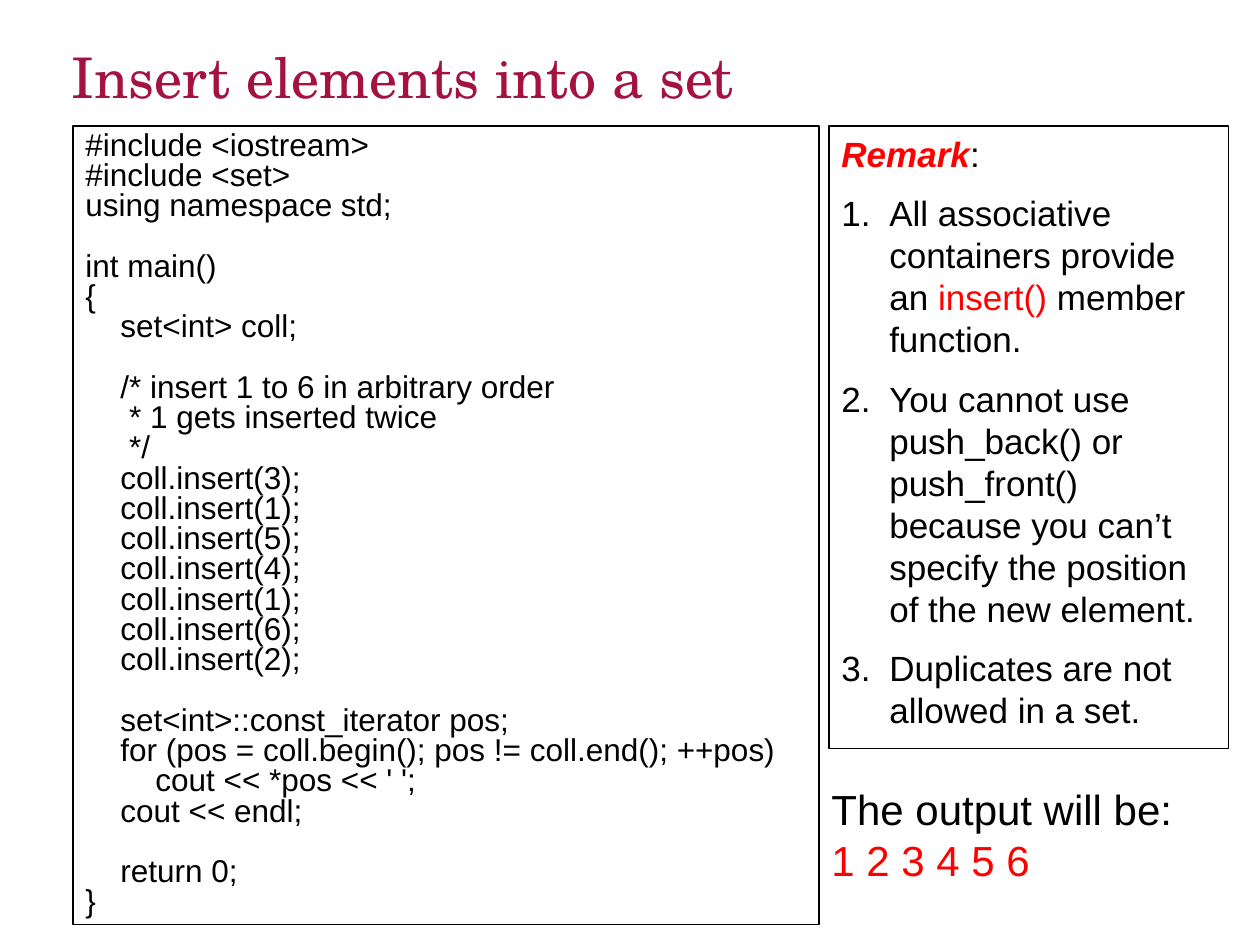
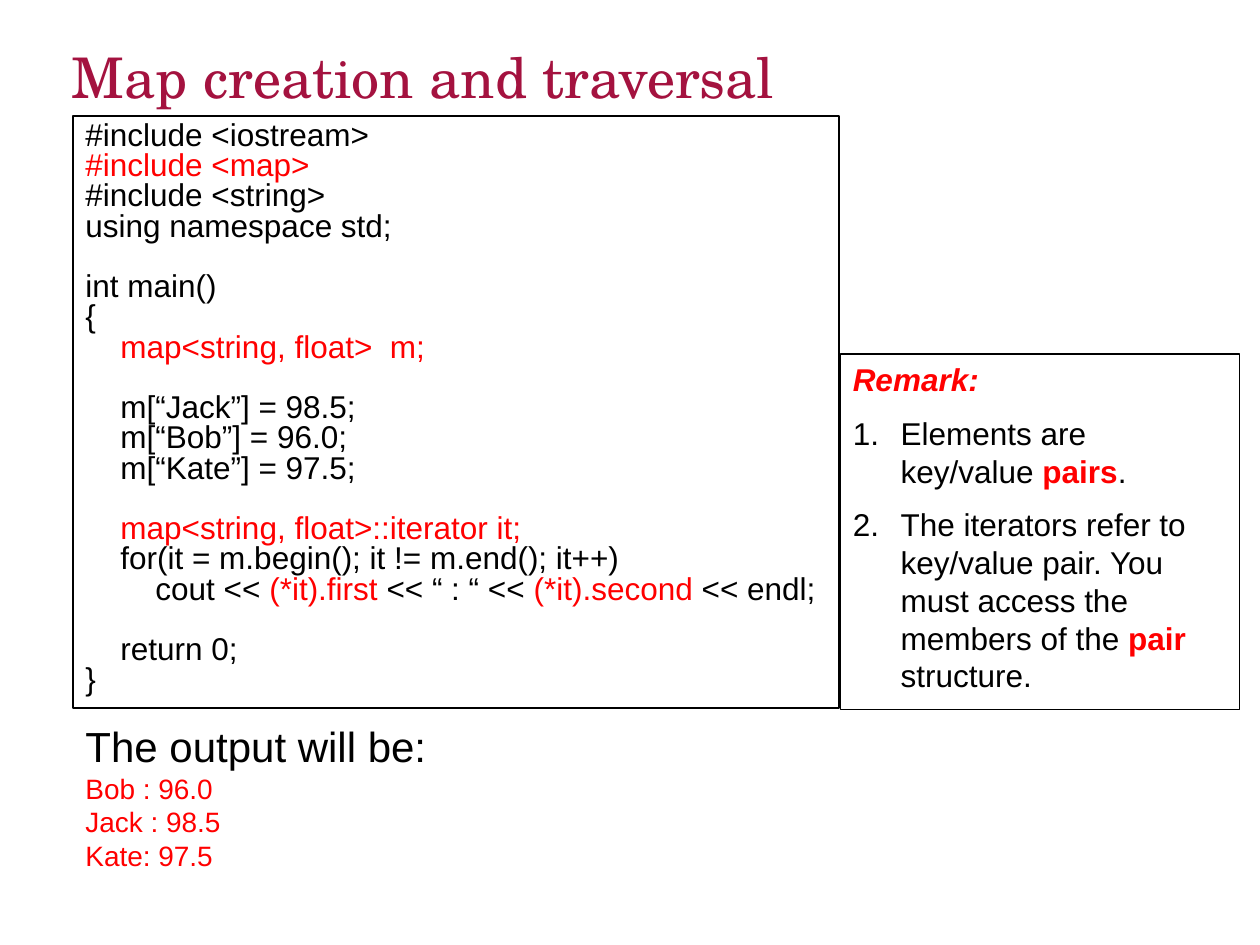
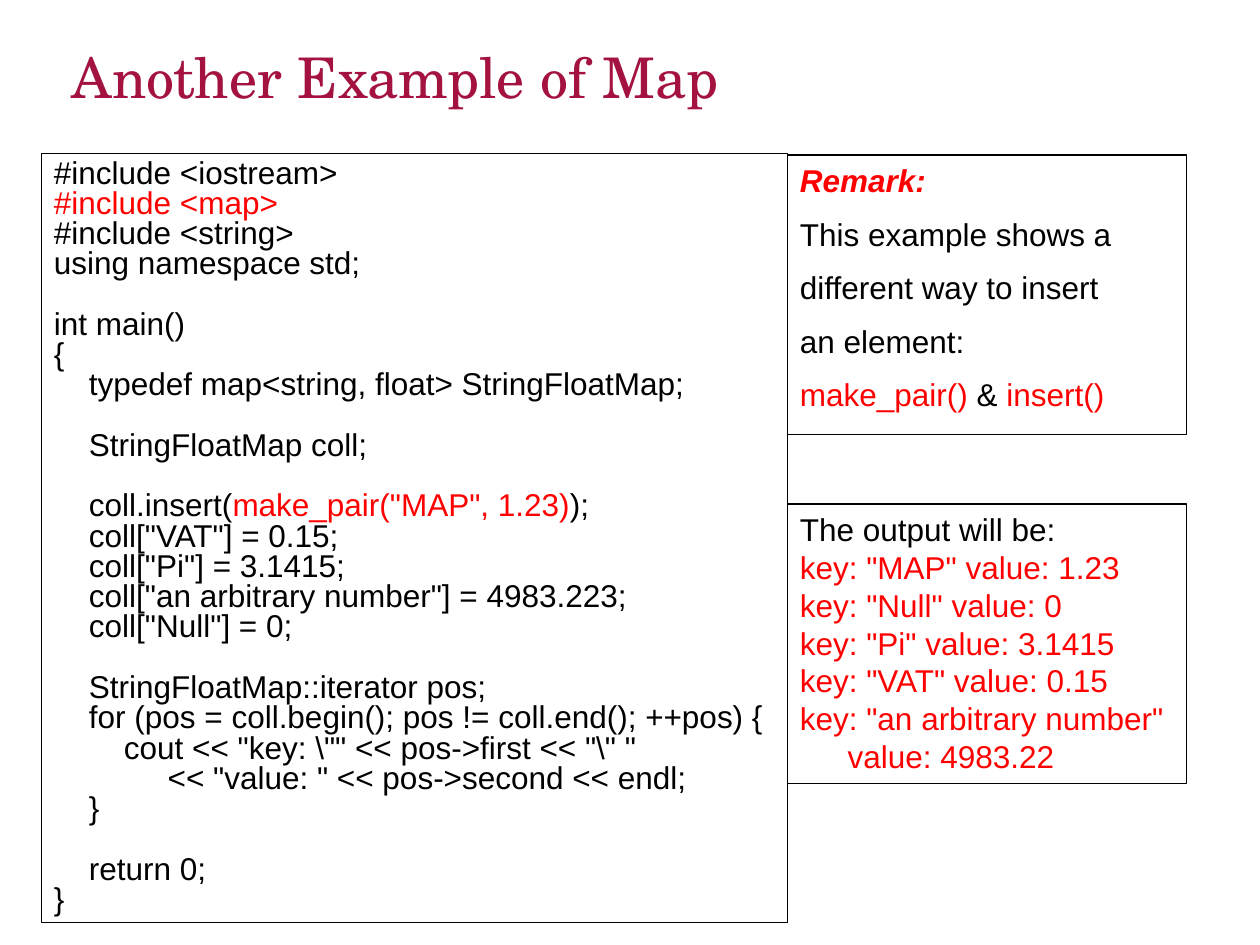
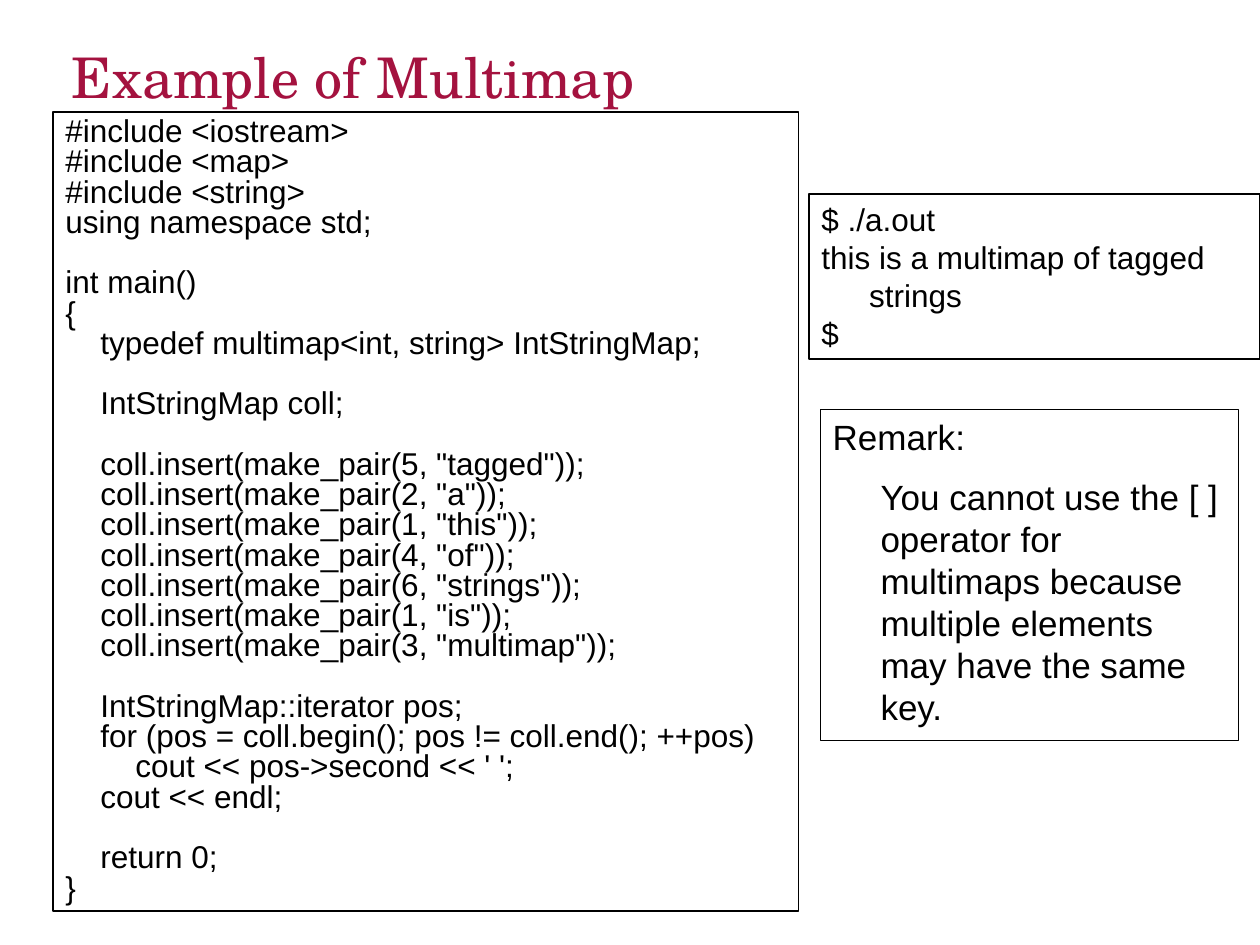
from pptx import Presentation
from pptx.dml.color import RGBColor
from pptx.enum.shapes import MSO_SHAPE
from pptx.enum.text import MSO_ANCHOR, MSO_AUTO_SIZE, PP_ALIGN
from pptx.util import Inches, Pt
from lxml import etree

RECT = MSO_SHAPE.RECTANGLE
TOP, MIDDLE = MSO_ANCHOR.TOP, MSO_ANCHOR.MIDDLE
GROW, FIXED = MSO_AUTO_SIZE.SHAPE_TO_FIT_TEXT, MSO_AUTO_SIZE.NONE
LEFT = PP_ALIGN.LEFT
NS = "http://schemas.openxmlformats.org/drawingml/2006/main"
COLORS = {"text": "000000", "hot": "FF0000", "title": "A4123F"}
BODY, HEAD = "Arial", "TeX Gyre Schola"
TITLE_AT = (0.47, 0.38, 9.19, 0.51)
HANG = 0.38
CODE_SIZE, CODE_LINE, SPACE = 18, 17.28, 5
MARKS = {
    "~": {"color": "hot"},
    "^": {"color": "hot", "bold": True},
    "@": {"color": "hot", "bold": True, "italic": True},
}

SET_CODE = """#include <iostream>
#include <set>
using namespace std;

int main()
{
    set<int> coll;

    /* insert 1 to 6 in arbitrary order
     * 1 gets inserted twice
     */
    coll.insert(3);
    coll.insert(1);
    coll.insert(5);
    coll.insert(4);
    coll.insert(1);
    coll.insert(6);
    coll.insert(2);

    set<int>::const_iterator pos;
    for (pos = coll.begin(); pos != coll.end(); ++pos)
        cout << *pos << ' ';
    cout << endl;

    return 0;
}"""

MAP_CODE = """#include <iostream>
|~#include <map>
#include <string>
using namespace std;

int main()
{
    |~map<string, float>  m;

    m[“Jack”] = 98.5;
    m[“Bob”] = 96.0;
    m[“Kate”] = 97.5;

    |~map<string, float>::iterator it;
    for(it = m.begin(); it != m.end(); it++)
        cout << |~(*it).first |<< “ : “ << |~(*it).second |<< endl;

    return 0;
}"""

PAIR_CODE = r"""#include <iostream>
|~#include <map>
#include <string>
using namespace std;

int main()
{
    typedef map<string, float> StringFloatMap;

    StringFloatMap coll;

    coll.insert(|~make_pair("MAP", 1.23)|);
    coll["VAT"] = 0.15;
    coll["Pi"] = 3.1415;
    coll["an arbitrary number"] = 4983.223;
    coll["Null"] = 0;

    StringFloatMap::iterator pos;
    for (pos = coll.begin(); pos != coll.end(); ++pos) {
        cout << "key: \"" << pos->first << "\" "
             << "value: " << pos->second << endl;
    }

    return 0;
}"""

MULTI_CODE = """#include <iostream>
#include <map>
#include <string>
using namespace std;

int main()
{
    typedef multimap<int, string> IntStringMap;

    IntStringMap coll;

    coll.insert(make_pair(5, "tagged"));
    coll.insert(make_pair(2, "a"));
    coll.insert(make_pair(1, "this"));
    coll.insert(make_pair(4, "of"));
    coll.insert(make_pair(6, "strings"));
    coll.insert(make_pair(1, "is"));
    coll.insert(make_pair(3, "multimap"));

    IntStringMap::iterator pos;
    for (pos = coll.begin(); pos != coll.end(); ++pos)
        cout << pos->second << ' ';
    cout << endl;

    return 0;
}"""


def assign(target, **values):
    """Set each named attribute on the target."""
    for name, value in values.items():
        setattr(target, name, value)


def add_run(para, text, size, font=BODY, color="text", **style):
    """Append one formatted run."""
    run = para.add_run()
    run.text = text
    assign(run.font, name=font, size=Pt(size), **style)
    run.font.color.rgb = RGBColor.from_string(COLORS[color])


def add_marked(para, text, size):
    """Append runs divided by bars, styled by their leading marks."""
    for part in filter(None, text.split("|")):
        style = MARKS.get(part[0], {})
        add_run(para, part[1:] if style else part, size, **style)


def indent(para, left, first=0, numbered=False):
    """Set the left margin, first-line offset and numbering."""
    props = para._p.get_or_add_pPr()
    props.set("marL", str(int(left)))
    props.set("indent", str(int(first)))
    if numbered:
        etree.SubElement(props, f"{{{NS}}}buAutoNum", type="arabicPeriod")


def add_para(frame, **values):
    """Return the next left-aligned paragraph of a frame."""
    first = frame.paragraphs[0]
    para = frame.add_paragraph() if first.runs else first
    assign(para, alignment=LEFT, **values)
    return para


def add_panel(slide, at, framed=True):
    """Add a growing text area, with a thin frame if wanted."""
    box = [Inches(v) for v in at]
    if framed:
        shape = slide.shapes.add_shape(RECT, *box)
        shape.shadow.inherit = False
        shape.fill.background()
        shape.line.color.rgb = RGBColor.from_string(COLORS["text"])
        shape.line.width = Pt(0.75)
    else:
        shape = slide.shapes.add_textbox(*box)
    frame = shape.text_frame
    assign(frame, word_wrap=True, auto_size=GROW, vertical_anchor=TOP)
    return frame


def add_code(slide, at, code):
    """Add a listing whose indents and gaps are paragraph settings."""
    frame = add_panel(slide, at)
    gap = 0
    for line in code.splitlines():
        text = line.lstrip()
        if not text:
            gap += CODE_LINE
            continue
        para = add_para(frame, line_spacing=0.8, space_before=Pt(gap))
        indent(para, Pt(SPACE * (len(line) - len(text))))
        add_marked(para, text, CODE_SIZE)
        gap = 0


def add_remark(slide, at, size, lead, items, kind="hang"):
    """Add a framed remark with hanging, numbered or block items."""
    frame = add_panel(slide, at)
    for i, text in enumerate([lead, *items]):
        para = add_para(frame, space_before=Pt(size / 2))
        block = i and kind == "block"
        indent(para, Inches(HANG), 0 if block else -Inches(HANG),
               bool(i) and kind == "number")
        add_marked(para, text, size)


def add_output(slide, at, lines, sizes, framed=False):
    """Add program output, the first line in its own size."""
    frame = add_panel(slide, at, framed)
    for i, text in enumerate(lines):
        para = add_para(frame)
        if framed:
            indent(para, Inches(HANG), -Inches(HANG))
        add_marked(para, text, sizes[min(i, 1)])


def add_slide(deck, text):
    """Add a title-only slide with the shared title style."""
    slide = deck.slides.add_slide(deck.slide_layouts[5])
    title = slide.shapes.title
    left, top, width, height = map(Inches, TITLE_AT)
    assign(title, left=left, top=top, width=width, height=height)
    frame = title.text_frame
    assign(frame, word_wrap=True, auto_size=FIXED, vertical_anchor=MIDDLE)
    para = add_para(frame, line_spacing=0.9)
    add_run(para, text, 32, HEAD, "title")
    return slide


def main():
    """Build and save the four slides."""
    deck = Presentation()
    assign(deck, slide_width=Inches(10), slide_height=Inches(7.5))

    slide = add_slide(deck, "Insert elements into a set")
    add_code(slide, (0.58, 1, 5.92, 6.34), SET_CODE)
    add_remark(slide, (6.58, 1, 3.17, 4.94), 20, "@Remark|:", [
        "All associative containers provide an |~insert() |member function.",
        "You cannot use push_back() or push_front() because you can’t "
        "specify the position of the new element.",
        "Duplicates are not allowed in a set."], "number")
    add_output(slide, (6.5, 6.17, 3.25, 0.91),
               ["The output will be:", "~1 2 3 4 5 6"], (24, 24))

    slide = add_slide(deck, "Map creation and traversal")
    add_code(slide, (0.58, 0.92, 6.08, 4.7), MAP_CODE)
    add_output(slide, (0.58, 5.67, 3.25, 1.31),
               ["The output will be:", "~Bob : 96.0", "~Jack : 98.5",
                "~Kate: 97.5"], (24, 16))
    add_remark(slide, (6.67, 2.81, 3.17, 2.82), 18, "@Remark:", [
        "Elements are key/value |^pairs|.",
        "The iterators refer to key/value pair. You must access the "
        "members of the |^pair| structure."], "number")

    slide = add_slide(deck, "Another Example of Map")
    add_code(slide, (0.33, 1.22, 5.92, 6.1), PAIR_CODE)
    add_output(slide, (6.25, 4, 3.17, 2.22),
               ["The output will be:", '~key: "MAP" value: 1.23',
                '~key: "Null" value: 0', '~key: "Pi" value: 3.1415',
                '~key: "VAT" value: 0.15',
                '~key: "an arbitrary number" value: 4983.22'],
               (18, 18), True)
    add_remark(slide, (6.25, 1.23, 3.17, 2.22), 18, "@Remark:", [
        "This example shows a", "different way to insert ", "an element:",
        "~make_pair()| & |~insert()"])

    slide = add_slide(deck, "Example of Multimap")
    add_code(slide, (0.42, 0.89, 5.92, 6.34), MULTI_CODE)
    add_output(slide, (6.42, 1.54, 3.58, 1.31),
               ["$ ./a.out", "this is a multimap of tagged strings ", "$"],
               (18, 18), True)
    add_remark(slide, (6.51, 3.25, 3.32, 2.63), 20, "Remark:", [
        "You cannot use the [ ] operator for multimaps because multiple "
        "elements may have the same key."], "block")

    deck.save("out.pptx")


main()
